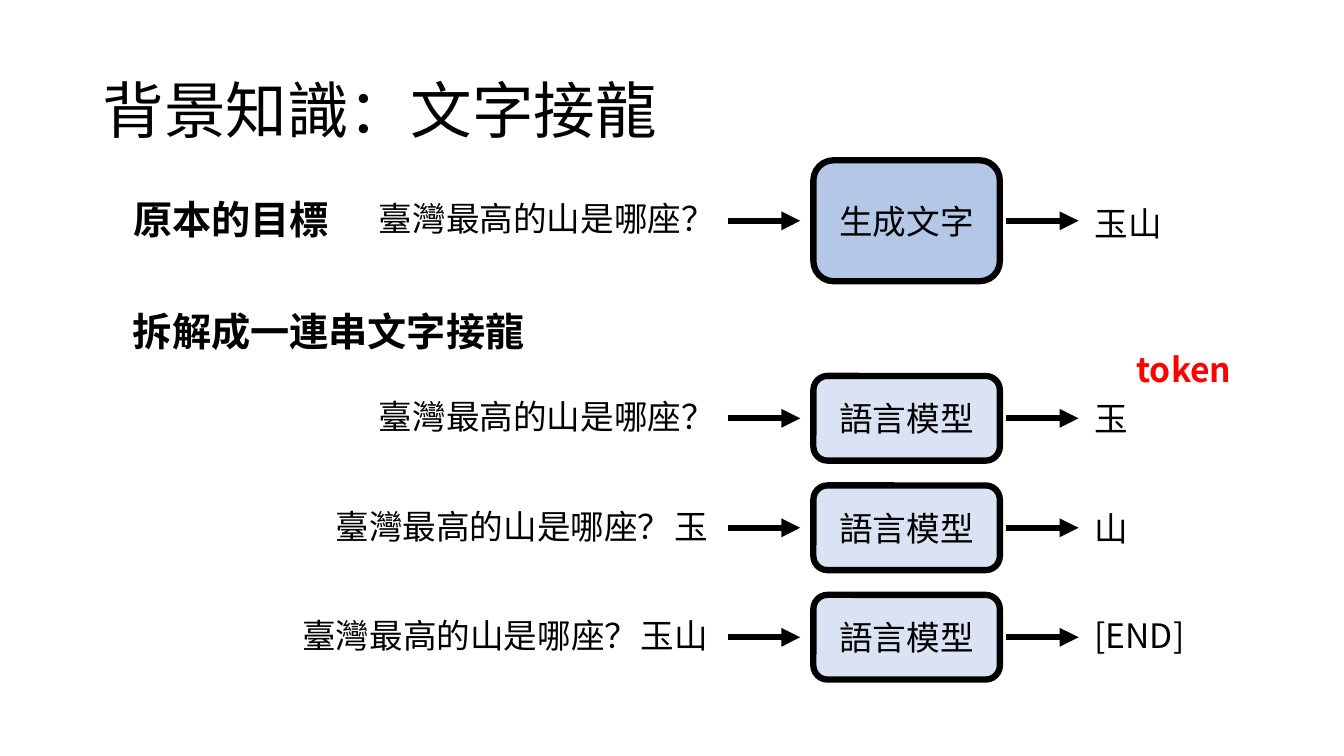
import pptx
import pptx.util
import pptx.dml.color
import pptx.enum.shapes
import pptx.enum.text
import pptx.oxml
import pptx.oxml.ns
from lxml import etree

Pt = pptx.util.Pt
Align = pptx.enum.text.PP_ALIGN
Anchor = pptx.enum.text.MSO_ANCHOR
qn = pptx.oxml.ns.qn

TITLE = "背景知識：文字接龍"
ASK = "臺灣最高的山是哪座？"
# text, left, top, width, alignment
HEADS = [
    ("原本的目標", 66.24, 136.1, 175.7, Align.RIGHT),
    ("拆解成一連串文字接龍", 87.84, 216, 401.8, Align.LEFT),
]
TOKEN = "token"
GOAL = {"label": "生成文字", "so_far": "", "out": "玉山", "left": 263.5, "drop": -16.6}
STEPS = [
    {"label": "語言模型", "so_far": "", "out": "玉", "left": 263.5, "drop": -18},
    {"label": "語言模型", "so_far": "玉", "out": "山", "left": 232.6, "drop": -18},
    {"label": "語言模型", "so_far": "玉山", "out": "[END]", "left": 208.8, "drop": -19.6},
]

THEME = {
    "font": "Noto Sans CJK SC",
    "ink": "000000", "mark": "FF0000", "goal": "B4C7E7", "step": "DAE3F3",
    "title": 44, "head": 28, "body": 24, "line": 4.5,
}

GOAL_MID, STEP_MID, STEP_GAP = 157.7, 298.8, 78.2
BOX_X, BOX_W, GOAL_H, STEP_H = 581, 133.2, 86.4, 60.5
ARROWS = (519.8, 718.6)
ARROW_W = 51.8
OUT_X, OUT_W = 774.7, 85.7
ASK_W, ASK_DROP, TAIL_DX = 298, -19.5, 241.9
TEXT_H = 36


def color(name):
    return pptx.dml.color.RGBColor.from_string(THEME[name])


def write(shape, text, size="body", ink="ink", bold=False, align=Align.LEFT):
    para = shape.text_frame.paragraphs[0]
    para.text = text
    para.alignment = align
    font = para.font
    font.size, font.bold, font.name = Pt(THEME[size]), bold, THEME["font"]
    font.color.rgb = color(ink)
    props = para._p.pPr.find(qn("a:defRPr"))
    etree.SubElement(props, qn("a:ea")).set("typeface", THEME["font"])
    return para


def label(slide, text, left, top, width, height=TEXT_H, **style):
    box = slide.shapes.add_textbox(Pt(left), Pt(top), Pt(width), Pt(height))
    box.text_frame.word_wrap = True
    return box, write(box, text, **style)


def arrow(slide, left, mid):
    line = slide.shapes.add_connector(
        pptx.enum.shapes.MSO_CONNECTOR.STRAIGHT,
        Pt(left), Pt(mid), Pt(left + ARROW_W), Pt(mid))
    line.line.color.rgb = color("ink")
    line.line.width = Pt(THEME["line"])
    etree.SubElement(line.line._get_or_add_ln(), qn("a:tailEnd")).set("type", "triangle")
    etree.SubElement(line._element.spPr, qn("a:effectLst"))


def row(slide, data, mid, height, fill):
    """Draw one prompt, model box and answer around a centre line."""
    box = slide.shapes.add_shape(
        pptx.enum.shapes.MSO_SHAPE.ROUNDED_RECTANGLE,
        Pt(BOX_X), Pt(mid - height / 2), Pt(BOX_W), Pt(height))
    box.shadow.inherit = False
    box.fill.solid()
    box.fill.fore_color.rgb = color(fill)
    box.line.color.rgb = color("ink")
    box.line.width = Pt(THEME["line"])
    box.text_frame.vertical_anchor = Anchor.MIDDLE
    write(box, data["label"], align=Align.CENTER)

    top = mid + ASK_DROP
    label(slide, ASK, data["left"], top, ASK_W)
    if data["so_far"]:
        label(slide, data["so_far"], data["left"] + TAIL_DX, top, OUT_W)
    for left in ARROWS:
        arrow(slide, left, mid)
    label(slide, data["out"], OUT_X, mid + data["drop"], OUT_W)


def main():
    deck = pptx.Presentation()
    deck.slide_width, deck.slide_height = Pt(960), Pt(540)
    slide = deck.slides.add_slide(deck.slide_layouts[6])

    box, para = label(slide, TITLE, 66.24, 28.8, 828, 104.4, size="title")
    box.text_frame.vertical_anchor = Anchor.MIDDLE
    para.line_spacing = 0.9
    for text, left, top, width, align in HEADS:
        label(slide, text, left, top, width, 41, size="head", bold=True, align=align)

    row(slide, GOAL, GOAL_MID, GOAL_H, "goal")
    for i, step in enumerate(STEPS):
        row(slide, step, STEP_MID + i * STEP_GAP, STEP_H, "step")
    label(slide, TOKEN, 758.9, 245.5, 173.5, ink="mark", bold=True, align=Align.CENTER)
    deck.save("out.pptx")


if __name__ == "__main__":
    main()
